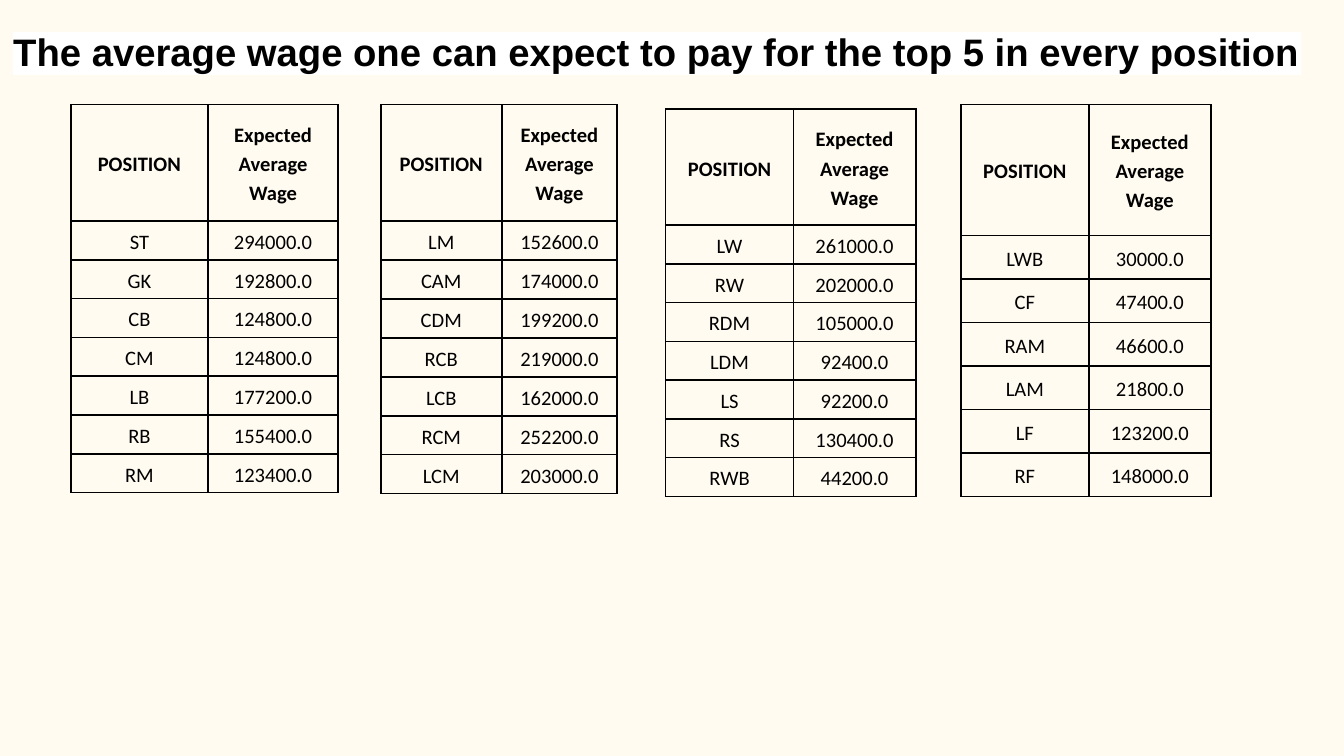
from lxml import etree
from pptx import Presentation
from pptx.dml.color import RGBColor
from pptx.enum import text
from pptx.oxml import ns
from pptx.util import Pt

COLORS = {"background": "FFFBF0", "ink": "000000", "highlight": "FFFFFF"}
HEADINGS = ("POSITION", "Expected Average Wage")
WAGE_TABLES = [
    (38, 56, (73.4, 69.8), 20.8, [
        ("ST", 294000), ("GK", 192800), ("CB", 124800), ("CM", 124800),
        ("LB", 177200), ("RB", 155400), ("RM", 123400)]),
    (204, 56, (64.8, 61.8), 20.85, [
        ("LM", 152600), ("CAM", 174000), ("CDM", 199200), ("RCB", 219000),
        ("LCB", 162000), ("RCM", 252200), ("LCM", 203000)]),
    (356.6, 58.4, (68.5, 65.5), 20.75, [
        ("LW", 261000), ("RW", 202000), ("RDM", 105000), ("LDM", 92400),
        ("LS", 92200), ("RS", 130400), ("RWB", 44200)]),
    (514.8, 56, (68.5, 65.5), 23.35, [
        ("LWB", 30000), ("CF", 47400), ("RAM", 46600), ("LAM", 21800),
        ("LF", 123200), ("RF", 148000)]),
]


class WageSlide:
    def __init__(self, deck):
        self.slide = deck.slides.add_slide(deck.slide_layouts[6])
        fill = self.slide.background.fill
        fill.solid()
        fill.fore_color.rgb = RGBColor.from_string(COLORS["background"])

    def style(self, run, font, size, bold):
        run.font.name = font
        run.font.size = Pt(size)
        run.font.bold = bold
        run.font.color.rgb = RGBColor.from_string(COLORS["ink"])

    def title(self, wording):
        frame = self.slide.shapes.add_textbox(Pt(0), Pt(8), Pt(720), Pt(39.6)).text_frame
        frame.word_wrap = True
        frame.margin_left = frame.margin_right = Pt(7.2)
        frame.margin_top = frame.margin_bottom = Pt(7.2)
        frame.text = wording
        run = frame.paragraphs[0].runs[0]
        self.style(run, "Arial", 20.5, True)
        highlight = etree.Element(ns.qn("a:highlight"))
        etree.SubElement(highlight, ns.qn("a:srgbClr"), val=COLORS["highlight"])
        run.font._element.find(ns.qn("a:solidFill")).addnext(highlight)

    def borders(self, cell):
        properties = cell._tc.get_or_add_tcPr()
        for index, side in enumerate(("lnL", "lnR", "lnT", "lnB")):
            line = etree.Element(ns.qn(f"a:{side}"), w=str(Pt(1)))
            fill = etree.SubElement(line, ns.qn("a:solidFill"))
            etree.SubElement(fill, ns.qn("a:srgbClr"), val=COLORS["ink"])
            properties.insert(index, line)

    def cell(self, cell, wording, bold):
        cell.fill.background()
        self.borders(cell)
        cell.margin_left = cell.margin_right = Pt(5)
        cell.margin_top = cell.margin_bottom = Pt(0)
        cell.vertical_anchor = text.MSO_ANCHOR.MIDDLE
        cell.text_frame.text = wording
        paragraph = cell.text_frame.paragraphs[0]
        paragraph.alignment = text.PP_ALIGN.CENTER
        paragraph.line_spacing = 1.15
        self.style(paragraph.runs[0], "Calibri", 11, bold)

    def table(self, left, top, widths, row_height, wages):
        rows = [HEADINGS] + [(position, f"{wage:.1f}") for position, wage in wages]
        heights = [3 * row_height] + [row_height] * len(wages)
        table = self.slide.shapes.add_table(
            len(rows), len(widths), Pt(left), Pt(top), Pt(sum(widths)), Pt(sum(heights))).table
        table.first_row = table.horz_banding = False
        for column, width in zip(table.columns, widths):
            column.width = Pt(width)
        for r, (row, height) in enumerate(zip(rows, heights)):
            table.rows[r].height = Pt(height)
            for c, wording in enumerate(row):
                self.cell(table.cell(r, c), wording, bold=r == 0)


def main():
    deck = Presentation()
    deck.slide_width, deck.slide_height = Pt(720), Pt(405)
    wage_slide = WageSlide(deck)
    wage_slide.title("The average wage one can expect to pay for the top 5 in every position")
    for wage_table in WAGE_TABLES:
        wage_slide.table(*wage_table)
    deck.save("out.pptx")


if __name__ == "__main__":
    main()
